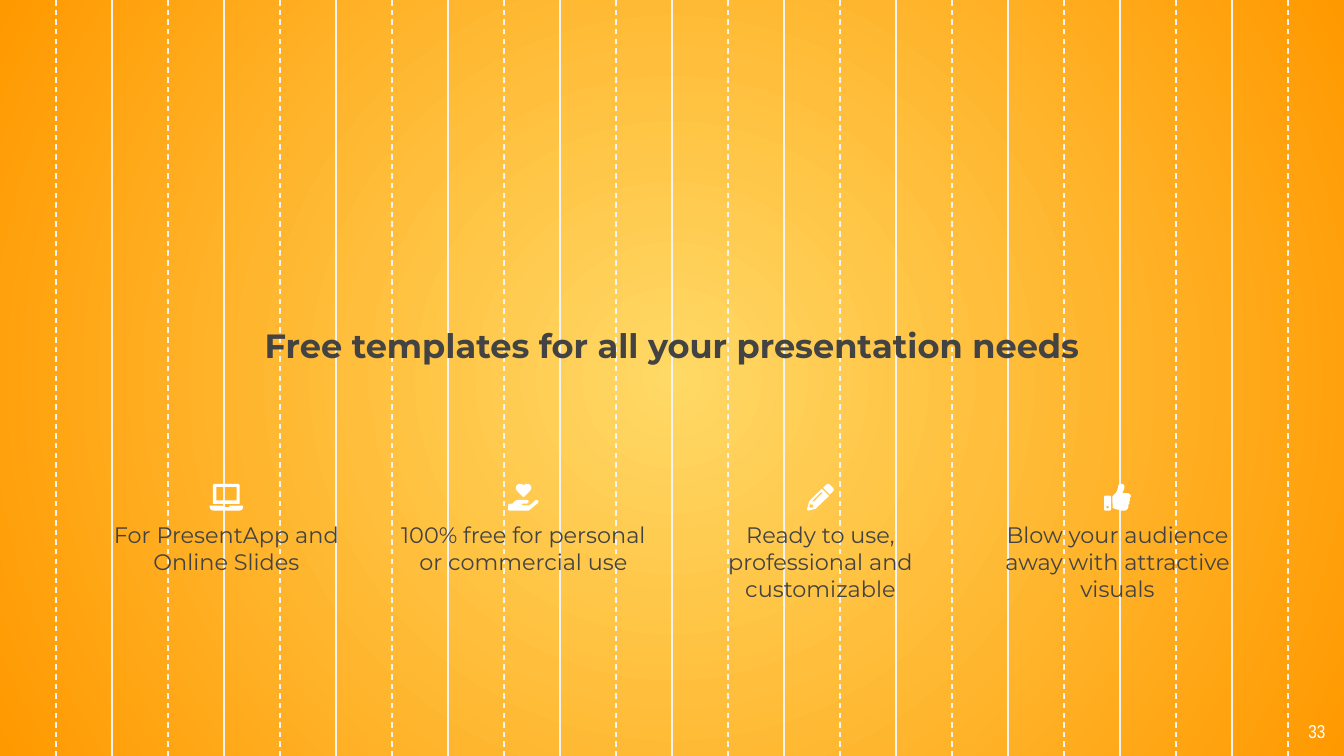
from lxml import etree
from pptx import Presentation
from pptx.dml.color import RGBColor
from pptx.enum.dml import MSO_LINE
from pptx.enum.shapes import MSO_CONNECTOR
from pptx.enum.text import PP_ALIGN
from pptx.oxml.ns import qn
from pptx.util import Inches, Pt

CENTER, RIGHT = PP_ALIGN.CENTER, PP_ALIGN.RIGHT
STRAIGHT, DASH = MSO_CONNECTOR.STRAIGHT, MSO_LINE.DASH

W, H = 10, 5.625
COLS = 24
DARK, WHITE, RULE = "434343", "FFFFFF", "F3F3F3"
GLOW, EDGE = "FFD966", "FF9900"

# Icon outlines on a grid 100 units high; inner outlines become holes
LAPTOP = [
    [(18, 0), (107, 0), (112, 5), (112, 75), (12, 75), (12, 5)],
    [(25, 12), (100, 12), (100, 62), (25, 62)],
    [(0, 81), (50, 81), (54, 87), (71, 87), (75, 81), (125, 81), (125, 88),
     (120, 97), (112, 100), (13, 100), (5, 97), (0, 88)],
]
HEART_IN_HAND = [
    [(57, 6), (63, 1), (70, 0), (78, 2), (84, 8), (86, 15), (84, 22), (80, 28),
     (59, 49), (57, 50), (55, 49), (34, 28), (30, 22), (28, 15), (30, 8),
     (36, 2), (44, 0), (51, 1)],
    [(40, 60), (32, 61), (25, 64), (16, 74), (3, 75), (0, 78), (0, 97),
     (3, 100), (74, 100), (80, 97), (110, 72), (113, 67), (110, 62), (105, 60),
     (100, 62), (85, 76), (78, 80), (53, 80), (50, 77), (53, 74), (70, 74),
     (75, 70), (76, 65), (72, 60)],
]
PENCIL = [
    [(78, 0), (72, 3), (60, 15), (85, 40), (97, 28), (100, 22), (97, 16), (84, 3)],
    [(55, 18), (8, 65), (0, 96), (4, 100), (32, 93), (82, 45)],
    [(55, 31), (57, 35), (26, 66), (21, 66), (21, 62), (52, 31)],
    [(14, 69), (14, 78), (23, 78), (23, 87), (11, 90), (8, 86)],
]
THUMB_UP = [
    [(4, 44), (22, 44), (26, 48), (26, 96), (22, 100), (4, 100), (0, 96), (0, 48)],
    [(13, 82), (17, 84), (18, 87), (17, 90), (13, 92), (9, 90), (8, 87), (9, 84)],
    [(60, 0), (70, 1), (75, 6), (76, 14), (74, 22), (68, 35), (90, 35),
     (97, 39), (100, 46), (96, 54), (97, 60), (94, 67), (95, 73), (91, 78),
     (91, 86), (87, 95), (78, 100), (62, 100), (46, 95), (32, 90), (31, 47),
     (45, 33), (50, 22), (54, 4)],
]
FEATURES = [
    ("For PresentApp and Online Slides", LAPTOP),
    ("100% free for personal or commercial use", HEART_IN_HAND),
    ("Ready to use, professional and customizable", PENCIL),
    ("Blow your audience away with attractive visuals", THUMB_UP),
]


def rgb(value):
    return RGBColor.from_string(value)


def add_text(shapes, text, box, size=12, font="Montserrat", color=DARK,
             bold=False, align=CENTER, inset=0):
    tf = shapes.add_textbox(*(Inches(v) for v in box)).text_frame
    tf.word_wrap = True
    tf.margin_left = tf.margin_top = tf.margin_right = tf.margin_bottom = Inches(inset)
    p = tf.paragraphs[0]
    p.alignment = align
    r = p.add_run()
    r.text = text
    r.font.size, r.font.name, r.font.bold = Pt(size), font, bold
    r.font.color.rgb = rgb(color)


def add_background(s):
    """Radial glow from the centre of the slide."""
    fill = s.background.fill
    fill.gradient()
    for stop, color, position in zip(fill.gradient_stops, (GLOW, EDGE), (0, 1)):
        stop.color.rgb = rgb(color)
        stop.position = position
    grad = s.element.find(".//" + qn("a:gradFill"))
    grad.remove(grad.find(qn("a:lin")))
    circle = etree.SubElement(grad, qn("a:path"), path="circle")
    etree.SubElement(circle, qn("a:fillToRect"), l="50000", t="50000",
                     r="50000", b="50000")


def add_stripes(s, left, top, width, height):
    """Vertical rules at every column edge, dashed at the odd ones."""
    shapes = s.shapes.add_group_shape().shapes
    for i in range(1, COLS):
        x = Inches(left + width * i / COLS)
        line = shapes.add_connector(STRAIGHT, x, Inches(top), x, Inches(top + height))
        line.line.color.rgb = rgb(RULE)
        line.line.width = Pt(0.75)
        if i % 2:
            line.line.dash_style = DASH
        etree.SubElement(line.element.spPr, qn("a:effectLst"))


def add_icon(shapes, outlines, center, top, height):
    unit = height / 100
    width = unit * max(x for outline in outlines for x, _ in outline)
    start = outlines[0][0]
    builder = shapes.build_freeform(*start, scale=Inches(unit))
    for outline in outlines:
        builder.move_to(*outline[0])
        builder.add_line_segments(outline[1:], close=True)
    sp = builder.convert_to_shape(Inches(center - width / 2), Inches(top))
    sp.shadow.inherit = False
    sp.fill.solid()
    sp.fill.fore_color.rgb = rgb(WHITE)
    sp.line.fill.background()


def add_features(s, left, top, width, height):
    """Equal columns, each with an icon above a caption."""
    column = 1.85
    pitch = (width - column) / (len(FEATURES) - 1)
    caption = 0.28
    for i, (text, icon) in enumerate(FEATURES):
        x = left + i * pitch
        shapes = s.shapes.add_group_shape().shapes
        add_text(shapes, text, (x, top + caption, column, height - caption))
        add_icon(shapes, icon, x + column / 2, top, 0.2)


def main():
    prs = Presentation()
    prs.slide_width, prs.slide_height = Inches(W), Inches(H)
    s = prs.slides.add_slide(prs.slide_layouts[6])
    add_background(s)
    add_stripes(s, 0, 0, W, H)
    # Title
    add_text(s.shapes, "Free templates for all your presentation needs",
             (0.121 * W, 0.43 * H, 0.758 * W, 0.29), size=18, bold=True)
    add_features(s, 0.076 * W, 0.64 * H, 0.848 * W, 0.98)
    # Slide number
    add_text(s.shapes, "33", (0.936 * W, H - 0.35, 0.6, 0.35), size=10,
             font="Arial Narrow", color=WHITE, align=RIGHT, inset=0.1)
    prs.save("out.pptx")


if __name__ == "__main__":
    main()
